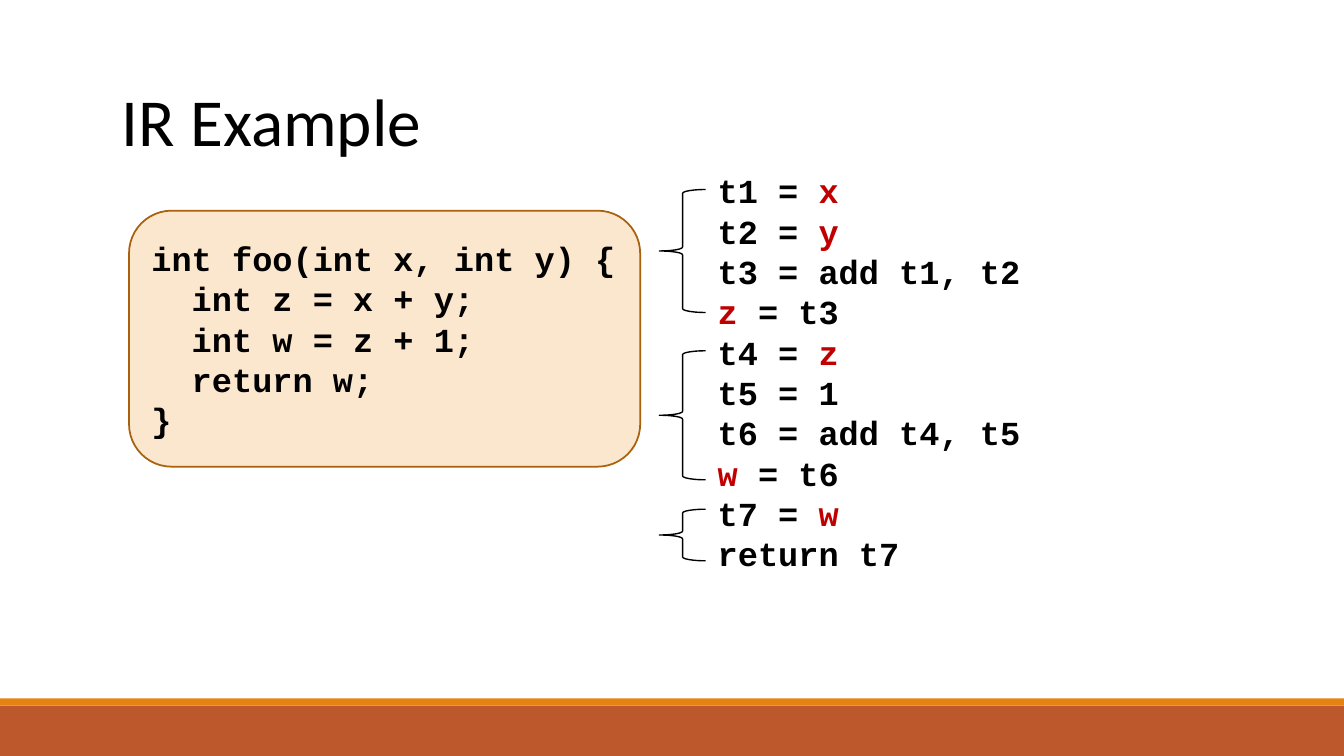
"""Build the IR Example slide: source code beside its three-address form."""
from pptx import Presentation, util as u
from pptx.dml.color import RGBColor
from pptx.enum import shapes, text

BLACK = RGBColor(0, 0, 0)
RED = RGBColor(0xC0, 0, 0)
RUST = RGBColor(0xBD, 0x58, 0x2C)
ORANGE = RGBColor(0xE4, 0x83, 0x12)
CREAM = RGBColor(0xFB, 0xE6, 0xCE)
BROWN = RGBColor(0xA9, 0x61, 0x0D)

TITLE = "IR Example"
SOURCE = ["int foo(int x, int y) {", "  int z = x + y;", "  int w = z + 1;",
          "  return w;", "}"]
IR = ["t1 = x", "t2 = y", "t3 = add t1, t2", "z = t3",
      "t4 = z", "t5 = 1", "t6 = add t4, t5", "w = t6",
      "t7 = w", "return t7"]
VARIABLES = {"x", "y", "z", "w"}
BRACES = [(0, 3.05), (4, 3.2), (7.93, 1.28)]
BARS = [(7, 0.5, RUST), (6.93, 0.07, ORANGE)]
WIDTH, HEIGHT = 13.33, 7.5
ROW, FIRST_ROW = 0.4, 1.88

prs = Presentation()
prs.slide_width, prs.slide_height = u.Inches(WIDTH), u.Inches(HEIGHT)
s = prs.slides.add_slide(prs.slide_layouts[5])


def box(*lengths):
    return [u.Inches(n) for n in lengths]


def add_shape(kind, place, fill=None, line=None, weight=1):
    sp = s.shapes.add_shape(kind, *box(*place))
    sp.shadow.inherit = False
    if fill is None:
        sp.fill.background()
    else:
        sp.fill.solid()
        sp.fill.fore_color.rgb = fill
    if line is None:
        sp.line.fill.background()
    else:
        sp.line.color.rgb = line
        sp.line.width = u.Pt(weight)
    return sp


def style(p, size, name, bold=False):
    p.alignment = text.PP_ALIGN.LEFT
    p.font.size, p.font.name, p.font.bold = u.Pt(size), name, bold
    p.font.color.rgb = BLACK


def split_variables(line):
    left, equals, right = line.partition(" = ")
    if left in VARIABLES:
        return [left, equals + right]
    if right in VARIABLES:
        return [left + equals, right]
    return [line]


def write_code(tf, lines):
    tf.word_wrap = True
    for i, parts in enumerate(lines):
        p = tf.add_paragraph() if i else tf.paragraphs[0]
        style(p, 24, "Courier New", True)
        p.line_spacing = u.Inches(ROW)
        for part in parts:
            r = p.add_run()
            r.text = part
            if part in VARIABLES:
                r.font.color.rgb = RED


for top, height, color in BARS:
    add_shape(shapes.MSO_SHAPE.RECTANGLE, (0, top, WIDTH, height), color)

title = s.shapes.title
title.left, title.top, title.width, title.height = box(1.11, 0.73, 11.09, 0.91)
title.text_frame.text = TITLE
title.text_frame.vertical_anchor = text.MSO_ANCHOR.MIDDLE
style(title.text_frame.paragraphs[0], 48, "Calibri")

source = add_shape(shapes.MSO_SHAPE.ROUNDED_RECTANGLE, (1.28, 2.09, 5.07, 2.54),
                   CREAM, BROWN, 1.25)
source.text_frame.vertical_anchor = text.MSO_ANCHOR.MIDDLE
write_code(source.text_frame, [[line] for line in SOURCE])

ir = s.shapes.add_textbox(*box(7.02, 1.64, 5.17, 4.54))
write_code(ir.text_frame, [split_variables(line) for line in IR])

for row, span in BRACES:
    add_shape(shapes.MSO_SHAPE.LEFT_BRACE,
              (6.54, FIRST_ROW + row * ROW, 0.46, span * ROW), line=BLACK)

prs.save("out.pptx")
